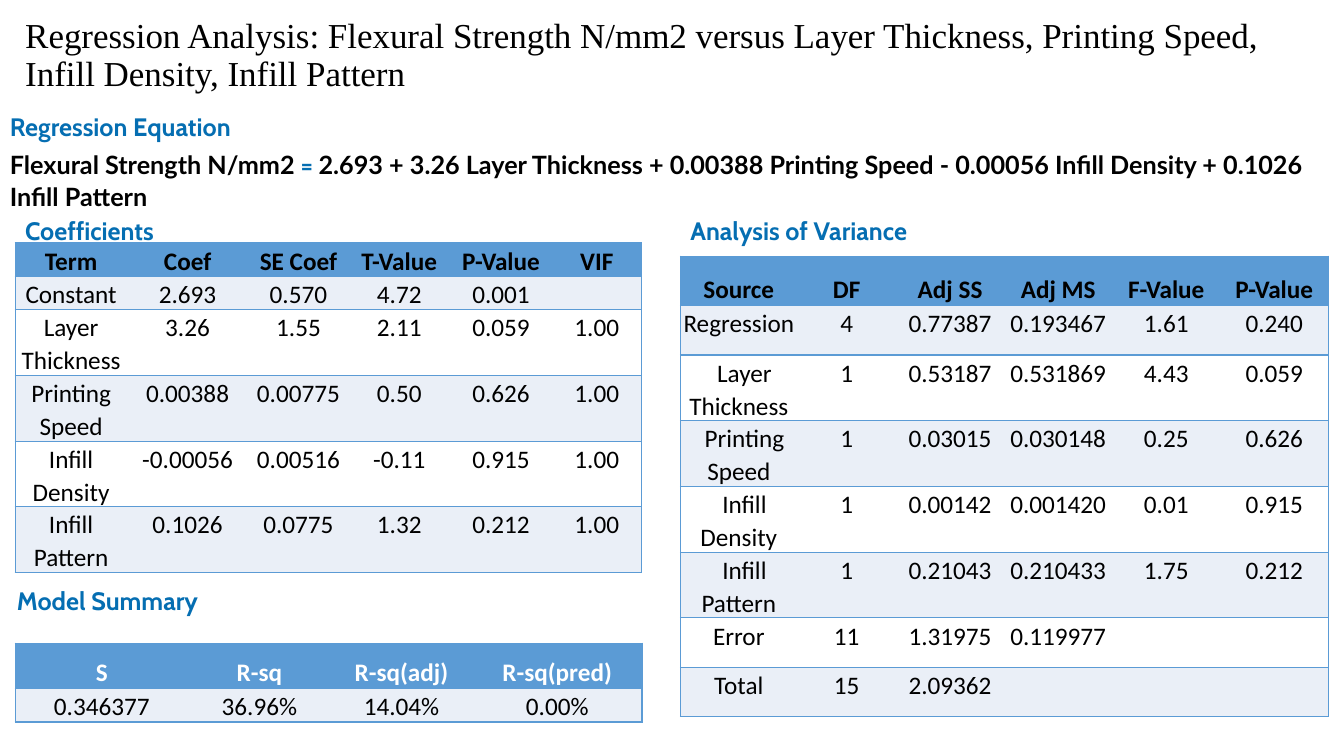
"""Build a slide with the regression analysis of flexural strength."""
from dataclasses import dataclass

from lxml import etree
from pptx import Presentation
from pptx.dml.color import RGBColor as RGB
from pptx.enum.text import MSO_ANCHOR as ANCHOR, MSO_AUTO_SIZE as AUTO, PP_ALIGN as ALIGN
from pptx.oxml.ns import qn
from pptx.util import Pt


@dataclass(frozen=True)
class Theme:
    black: str = "000000"
    white: str = "FFFFFF"
    heading: str = "056EB2"
    header: str = "5B9BD5"
    band: str = "EAEFF7"
    title_font: str = "Times New Roman"
    heading_font: str = "Cabin"
    equation_font: str = "Lato"
    table_font: str = "Calibri"
    title_size: float = 25
    text_size: float = 18
    border: float = 1


class SlideBuilder:
    def __init__(self, slide, theme):
        self.slide = slide
        self.theme = theme

    def run(self, p, text, font, color, bold=True, size=None):
        r = p.add_run()
        r.text = text
        r.font.name = font
        r.font.size = Pt(size or self.theme.text_size)
        r.font.bold = bold
        r.font.color.rgb = RGB.from_string(color)

    def place(self, sp, box):
        sp.left, sp.top, sp.width, sp.height = [Pt(v) for v in box]

    def title(self, text, box):
        t = self.theme
        sp = self.slide.shapes.title
        self.place(sp, box)
        tf = sp.text_frame
        tf.auto_size = AUTO.NONE
        tf.vertical_anchor = ANCHOR.MIDDLE
        p = tf.paragraphs[0]
        p.alignment = ALIGN.LEFT
        p.line_spacing = 0.9
        self.run(p, text, t.title_font, t.black, False, t.title_size)

    def text(self, paragraphs, box, spacing=1.07, after=4, anchor=ANCHOR.TOP, bottom=3.6):
        sp = self.slide.shapes.add_textbox(*[Pt(v) for v in box])
        tf = sp.text_frame
        tf.word_wrap = True
        tf.vertical_anchor = anchor
        tf.margin_bottom = Pt(bottom)
        for i, runs in enumerate(paragraphs):
            p = tf.add_paragraph() if i else tf.paragraphs[0]
            p.line_spacing = spacing
            p.space_after = Pt(after)
            for text, font, color in runs:
                self.run(p, text, font, color)

    def heading(self, text):
        return [(text, self.theme.heading_font, self.theme.heading)]

    def table_heading(self, text, box):
        self.text([self.heading(text)], box, 0.9, 0, ANCHOR.BOTTOM, 30)

    def borders(self, cell, first, last):
        tc_pr = cell._tc.get_or_add_tcPr()
        edges = {"lnL": first, "lnR": last, "lnT": True, "lnB": True}
        for i, (tag, shown) in enumerate(edges.items()):
            ln = etree.Element(qn(f"a:{tag}"), w=str(Pt(self.theme.border)))
            if shown:
                fill = etree.SubElement(ln, qn("a:solidFill"))
                etree.SubElement(fill, qn("a:srgbClr"), val=self.theme.header)
            else:
                etree.SubElement(ln, qn("a:noFill"))
            tc_pr.insert(i, ln)

    def table(self, rows, left, top, widths, heights, header_color, indented=()):
        t = self.theme
        frame = self.slide.shapes.add_table(
            len(rows), len(widths), Pt(left), Pt(top), Pt(sum(widths)), Pt(sum(heights)))
        table = frame.table
        for col, width in zip(table.columns, widths):
            col.width = Pt(width)
        for i, (row, height) in enumerate(zip(rows, heights)):
            table.rows[i].height = Pt(height)
            fill = t.band if i % 2 else t.white
            for j, text in enumerate(row):
                cell = table.cell(i, j)
                cell.margin_left = cell.margin_right = cell.margin_top = Pt(0.72)
                cell.margin_bottom = Pt(0)
                cell.vertical_anchor = ANCHOR.TOP if i else ANCHOR.BOTTOM
                cell.fill.solid()
                cell.fill.fore_color.rgb = RGB.from_string(fill if i else t.header)
                self.borders(cell, j == 0, j == len(widths) - 1)
                p = cell.text_frame.paragraphs[0]
                p.alignment = ALIGN.CENTER
                p.line_spacing = 1.07
                p.space_after = Pt(8)
                if j == 0 and i in indented:
                    p._p.get_or_add_pPr().set("indent", str(Pt(8)))
                if text:
                    self.run(p, text, t.table_font, t.black if i else header_color, i == 0)


COEFFICIENTS = [
    ("Term", "Coef", "SE Coef", "T-Value", "P-Value", "VIF"),
    ("Constant", "2.693", "0.570", "4.72", "0.001", ""),
    ("Layer Thickness", "3.26", "1.55", "2.11", "0.059", "1.00"),
    ("Printing Speed", "0.00388", "0.00775", "0.50", "0.626", "1.00"),
    ("Infill Density", "-0.00056", "0.00516", "-0.11", "0.915", "1.00"),
    ("Infill Pattern", "0.1026", "0.0775", "1.32", "0.212", "1.00"),
]
VARIANCE = [
    ("Source", "DF", "Adj SS", "Adj MS", "F-Value", "P-Value"),
    ("Regression", "4", "0.77387", "0.193467", "1.61", "0.240"),
    ("Layer Thickness", "1", "0.53187", "0.531869", "4.43", "0.059"),
    ("Printing Speed", "1", "0.03015", "0.030148", "0.25", "0.626"),
    ("Infill Density", "1", "0.00142", "0.001420", "0.01", "0.915"),
    ("Infill Pattern", "1", "0.21043", "0.210433", "1.75", "0.212"),
    ("Error", "11", "1.31975", "0.119977", "", ""),
    ("Total", "15", "2.09362", "", "", ""),
]
SUMMARY = [
    ("S", "R-sq", "R-sq(adj)", "R-sq(pred)"),
    ("0.346377", "36.96%", "14.04%", "0.00%"),
]
EQUATION = ("2.693 + 3.26 Layer Thickness + 0.00388 Printing Speed - "
            "0.00056 Infill Density + 0.1026 Infill Pattern")


def main():
    prs = Presentation()
    prs.slide_width, prs.slide_height = Pt(960), Pt(540)
    t = Theme()
    s = SlideBuilder(prs.slides.add_slide(prs.slide_layouts[5]), t)
    left, right = 10.8, 486

    s.title("Regression Analysis: Flexural Strength N/mm2 versus Layer Thickness, "
            "Printing Speed, Infill Density, Infill Pattern", (left, -12.2, 939, 104.4))
    s.table_heading("Coefficients", (left, 141, 406, 65))
    s.table(COEFFICIENTS, left, 173.5, [80, 86.4, 72, 72, 73.4, 63.4],
            [21.6] * 2 + [43.9] * 4, t.black)
    s.table_heading("Analysis of Variance", (right, 141, 408, 65))
    s.table(VARIANCE, right, 183, [83.5, 70.6] + [77.2] * 4,
            [35.3] * 2 + [42.5] * 4 + [35.3] * 2, t.black, range(2, 6))
    s.text([s.heading("Regression Equation"),
            [("Flexural Strength N/mm2", t.equation_font, t.black),
             (" = ", t.heading_font, t.heading),
             (EQUATION, t.equation_font, t.black)]], (0, 74.2, 967, 57))
    s.text([s.heading("Model Summary")], (5, 413.3, 484, 29.5))
    s.table(SUMMARY, left, 459.4, [123.8, 101.5, 101.5, 121], [32.4, 14.4], t.white)
    prs.save("out.pptx")


if __name__ == "__main__":
    main()
